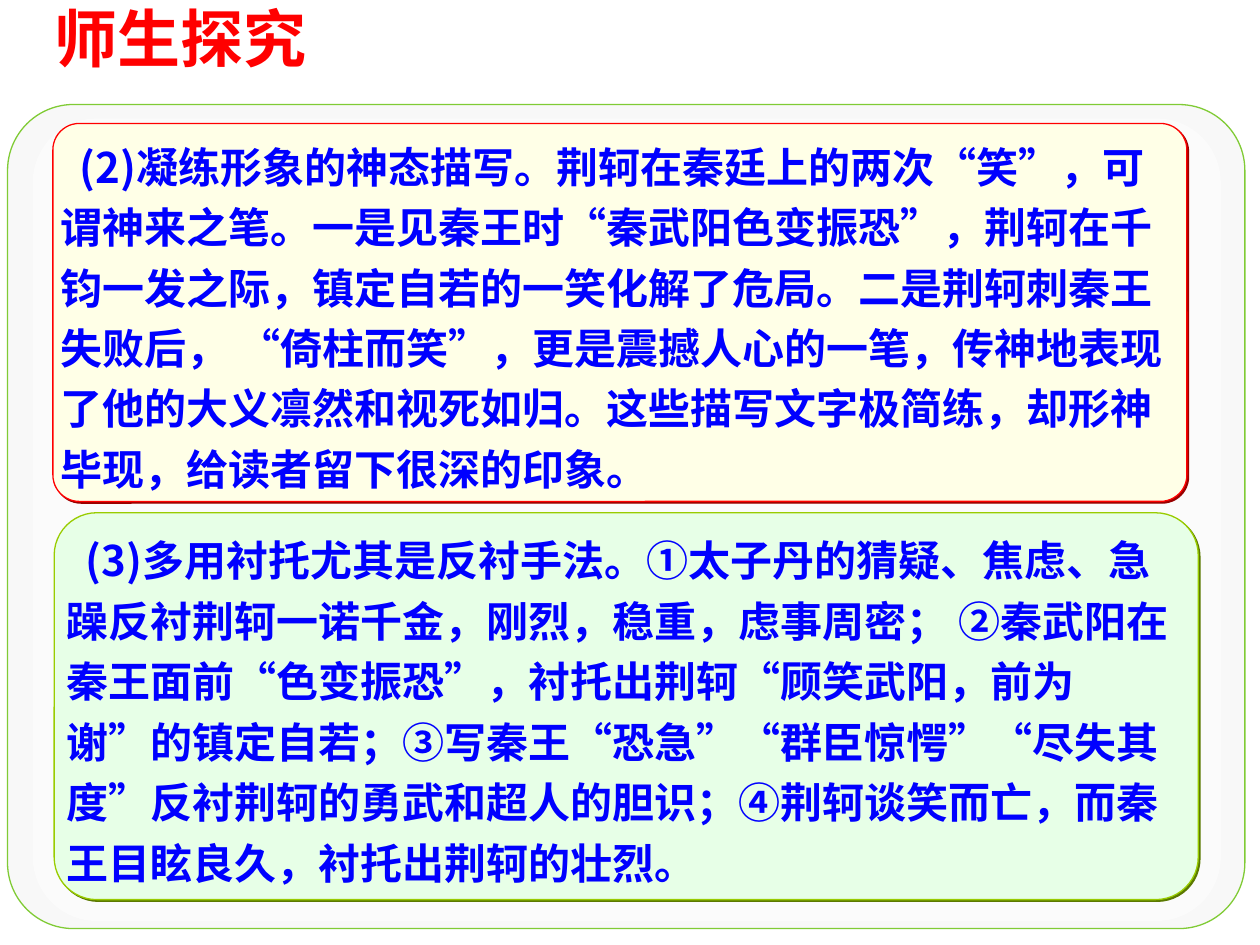
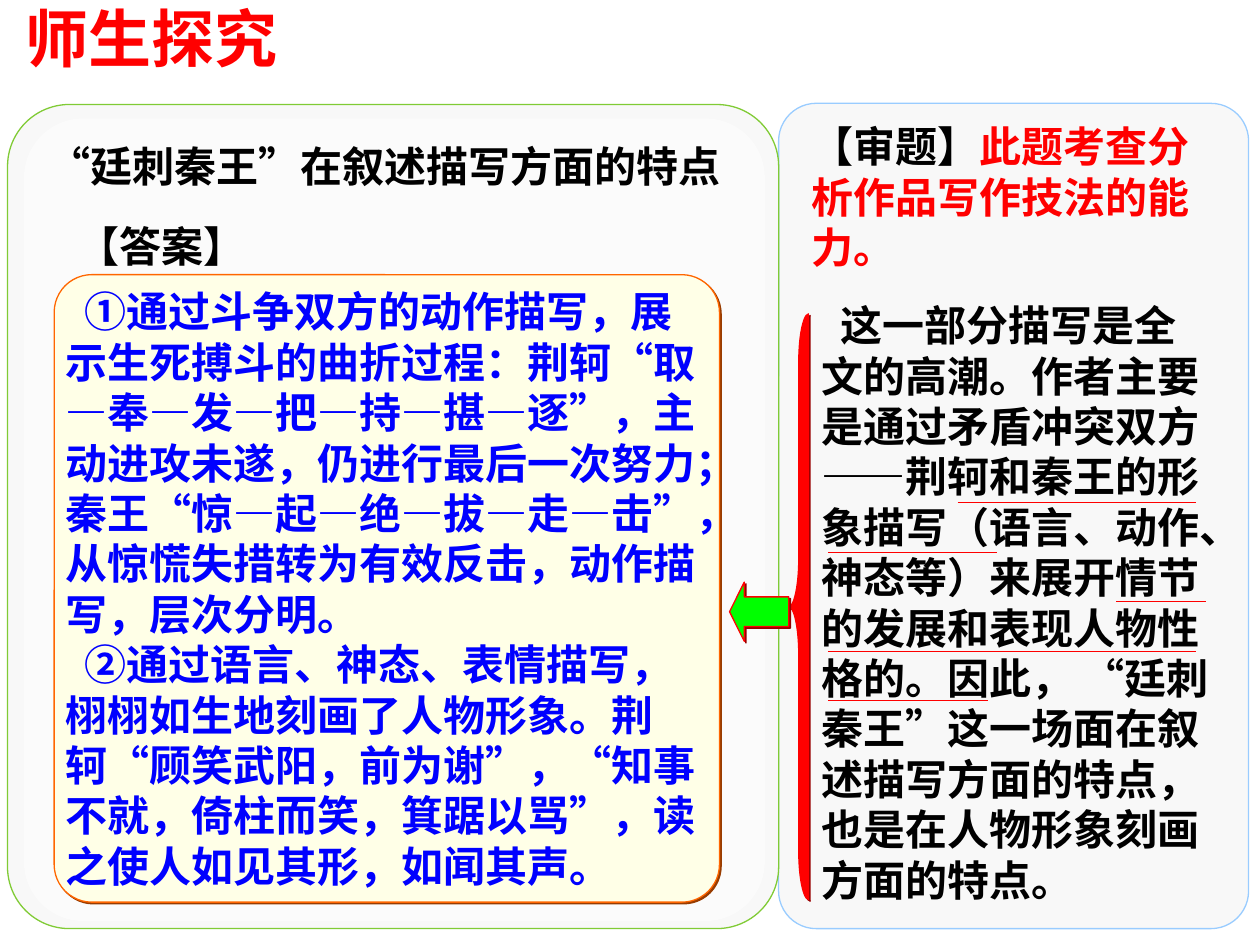
from dataclasses import dataclass

from lxml.etree import SubElement
from pptx import Presentation
from pptx.dml.color import RGBColor as RGB
from pptx.enum.shapes import MSO_CONNECTOR as CONN, MSO_SHAPE as SHAPE
from pptx.enum.text import MSO_ANCHOR as ANCHOR
from pptx.oxml.ns import qn
from pptx.util import Inches, Pt

COLS, ROWS = 100, 75
PAD = (Inches(0.1), Inches(0.05))


@dataclass(frozen=True)
class Theme:
    red: str = "FF0000"
    black: str = "000000"
    blue: str = "0000FF"
    white: str = "FFFFFF"
    panel: str = "F8F8F8"
    panel_green: str = "80CB35"
    panel_blue: str = "99CCFF"
    cream: str = "FFFFE7"
    mint: str = "E7FFE7"
    lime: str = "99CC00"
    orange: str = "FF6600"
    arrow: str = "00FF00"
    red_shade: str = "980000"
    lime_shade: str = "5B7900"
    orange_shade: str = "983C00"
    text_shade: str = "808080"
    head_font: str = "Arial"
    body_font: str = "Noto Sans CJK SC"
    title_size: float = 36
    body_size: float = 24
    line_width: float = 0.75
    indent: float = 0.15


def add_shadow(parent, color):
    """Give a shape or run properties element a hard shadow to the lower right."""
    effects = parent.find(qn("a:effectLst"))
    if effects is None:
        effects = SubElement(parent, qn("a:effectLst"))
    shadow = SubElement(effects, qn("a:outerShdw"), dist=str(Pt(1.4)),
                        dir=str(45 * 60000), algn="tl", rotWithShape="0")
    SubElement(shadow, qn("a:srgbClr"), val=color)


class Deck:
    """Places styled elements on the current slide; boxes are (column, row, columns, rows)."""

    def __init__(self, theme):
        self.theme = theme
        self.prs = Presentation()
        self.prs.slide_width, self.prs.slide_height = Inches(10), Inches(7.5)
        self.shapes = None

    def x(self, cols):
        return round(self.prs.slide_width * cols / COLS)

    def y(self, rows):
        return round(self.prs.slide_height * rows / ROWS)

    def place(self, box):
        col, row, cols, rows = box
        return self.x(col), self.y(row), self.x(cols), self.y(rows)

    def new_slide(self, title, title_col):
        self.shapes = self.prs.slides.add_slide(self.prs.slide_layouts[6]).shapes
        return lambda: self.text((title_col, 0, 33.5, 6), [(title, self.theme.red)],
                                 font=self.theme.head_font,
                                 size=self.theme.title_size, pad=(0, 0))

    def shape(self, kind, box, fill, line=None, adjust=(), shade=None, alpha=None):
        sp = self.shapes.add_shape(kind, *self.place(box))
        for i, value in enumerate(adjust):
            sp.adjustments[i] = value
        sp.fill.solid()
        sp.fill.fore_color.rgb = RGB.from_string(fill)
        if alpha:
            color = sp.fill._xPr.find(qn("a:solidFill"))[0]
            SubElement(color, qn("a:alpha"), val=str(alpha * 1000))
        if line:
            sp.line.color.rgb = RGB.from_string(line)
            sp.line.width = Pt(self.theme.line_width)
        else:
            sp.line.fill.background()
        sp.shadow.inherit = False
        if shade:
            add_shadow(sp._element.spPr, shade)
        return sp

    def panel(self, box, line, inner=None):
        """Draw a pale rounded panel, with a half-clear white sheet if inner is given."""
        self.shape(SHAPE.ROUNDED_RECTANGLE, box, self.theme.panel, line, [0.08])
        if inner:
            self.shape(SHAPE.ROUNDED_RECTANGLE, inner, self.theme.white,
                       adjust=[0.08], alpha=50)

    def style(self, p, font, size, color=None, indent=False, spacing=None):
        if indent:
            p._p.get_or_add_pPr().set("indent", str(Inches(self.theme.indent)))
        if spacing:
            p.line_spacing = spacing
        p.font.name, p.font.size, p.font.bold = font, Pt(size), True
        if color:
            p.font.color.rgb = RGB.from_string(color)
        latin = p._p.pPr.find(qn("a:defRPr")).find(qn("a:latin"))
        east_asian = latin.makeelement(qn("a:ea"), {"typeface": font})
        latin.addnext(east_asian)

    def card(self, box, paragraphs, fill, line, shade, radius, spacing=None):
        sp = self.shape(SHAPE.ROUNDED_RECTANGLE, box, fill, line, [radius], shade)
        tf = self.frame(sp, (0, 0), ANCHOR.MIDDLE)
        for i, words in enumerate(paragraphs):
            p = tf.add_paragraph() if i else tf.paragraphs[0]
            p.add_run().text = words
            p.alignment = 1
            self.style(p, self.theme.body_font, self.theme.body_size,
                       self.theme.blue, True, spacing)

    def frame(self, sp, pad, anchor=ANCHOR.TOP, wrap=True):
        tf = sp.text_frame
        tf.margin_left = tf.margin_right = pad[0]
        tf.margin_top = tf.margin_bottom = pad[1]
        tf.vertical_anchor, tf.word_wrap = anchor, wrap
        return tf

    def text(self, box, runs, font=None, size=None, pad=PAD, wrap=True, indent=False):
        """Write one paragraph of shadowed (words, colour) runs."""
        tf = self.frame(self.shapes.add_textbox(*self.place(box)), pad, wrap=wrap)
        p = tf.paragraphs[0]
        shared = runs[0][1] if len(runs) == 1 else None
        self.style(p, font or self.theme.body_font, size or self.theme.body_size,
                   shared, indent)
        for words, color in runs:
            r = p.add_run()
            r.text = words
            if not shared:
                r.font.color.rgb = RGB.from_string(color)
            add_shadow(r._r.get_or_add_rPr(), self.theme.text_shade)

    def underline(self, start, end, row):
        cxn = self.shapes.add_connector(CONN.STRAIGHT, self.x(start), self.y(row),
                                        self.x(end), self.y(row))
        cxn.line.color.rgb = RGB.from_string(self.theme.red)
        cxn.line.width = Pt(self.theme.line_width)
        SubElement(cxn._element.spPr, qn("a:effectLst"))


TITLE = "师生探究"

EXPRESSION = (
    "(2)凝练形象的神态描写。荆轲在秦廷上的两次“笑”，可谓神来之笔。一是见秦王时“秦武阳色变振恐”，"
    "荆轲在千钧一发之际，镇定自若的一笑化解了危局。二是荆轲刺秦王失败后， “倚柱而笑”，"
    "更是震撼人心的一笔，传神地表现了他的大义凛然和视死如归。这些描写文字极简练，却形神毕现，"
    "给读者留下很深的印象。")
CONTRAST = (
    "(3)多用衬托尤其是反衬手法。①太子丹的猜疑、焦虑、急躁反衬荆轲一诺千金，刚烈，稳重，虑事周密； "
    "②秦武阳在秦王面前“色变振恐”，衬托出荆轲“顾笑武阳，前为谢”的镇定自若；"
    "③写秦王“恐急”“群臣惊愕”“尽失其度”反衬荆轲的勇武和超人的胆识；"
    "④荆轲谈笑而亡，而秦王目眩良久，衬托出荆轲的壮烈。")
ANSWERS = [
    "①通过斗争双方的动作描写，展示生死搏斗的曲折过程：荆轲“取—奉—发—把—持—揕—逐”，"
    "主动进攻未遂，仍进行最后一次努力；秦王“惊—起—绝—拔—走—击”，从惊慌失措转为有效反击，"
    "动作描写，层次分明。",
    "②通过语言、神态、表情描写，栩栩如生地刻画了人物形象。荆轲“顾笑武阳，前为谢”，"
    "“知事不就，倚柱而笑，箕踞以骂”，读之使人如见其形，如闻其声。"]
ANALYSIS = (
    "这一部分描写是全文的高潮。作者主要是通过矛盾冲突双方——荆轲和秦王的形象描写"
    "（语言、动作、神态等）来展开情节的发展和表现人物性格的。因此， “廷刺秦王”"
    "这一场面在叙述描写方面的特点，也是在人物形象刻画方面的特点。")
UNDERLINES = [(76, 94.9), (65.7, 79.1), (88.6, 95.7), (65.7, 94.9), (65.7, 78.4)]
UNDERLINE_TOP, UNDERLINE_STEP = 39.9, 3.93


def build_techniques(deck, t):
    add_title = deck.new_slide(TITLE, 4.3)
    deck.panel((0.6, 8.3, 98.2, 65.4), t.panel_green, (2.6, 9.4, 94.3, 63.7))
    add_title()
    deck.card((4.2, 9.8, 90, 30), [EXPRESSION], t.cream, t.red, t.red_shade, 0.07, 1.2)
    deck.card((4.3, 40.7, 90.8, 30.7), [CONTRAST], t.mint, t.lime, t.lime_shade,
              0.11, 1.2)


def build_answer(deck, t):
    add_title = deck.new_slide(TITLE, 2)
    deck.panel((61.8, 8.2, 37.3, 65.5), t.panel_blue)
    deck.panel((0.6, 8.3, 61.2, 65.4), t.panel_green, (1.9, 9.4, 58.8, 63.7))
    add_title()
    deck.text((2.9, 10.7, 55.3, 5), [("“廷刺秦王”在叙述描写方面的特点", t.black)], wrap=False)
    deck.card((4.3, 21.8, 52.8, 49.8), ANSWERS, t.cream, t.orange, t.orange_shade, 0.06)
    deck.text((63.4, 9.1, 34.7, 13),
              [("【审题】", t.black), ("此题考查分析作品写作技法的能力。", t.red)],
              font=t.head_font)
    deck.text((64.2, 23.3, 33.1, 49), [(ANALYSIS, t.black)], indent=True)
    for i, (start, end) in enumerate(UNDERLINES):
        deck.underline(start, end, UNDERLINE_TOP + i * UNDERLINE_STEP)
    deck.shape(SHAPE.LEFT_BRACE, (62.6, 24.9, 1.6, 46.5), t.red, t.red, [2.42, 0.5],
               t.red_shade)
    deck.shape(SHAPE.LEFT_ARROW, (57.9, 46.2, 4.7, 4.7), t.arrow, t.red, [0.5, 0.25],
               t.red_shade)
    deck.text((5.2, 17, 15.3, 5), [("【答案】", t.black)], font=t.head_font, wrap=False)


def main():
    theme = Theme()
    deck = Deck(theme)
    build_techniques(deck, theme)
    build_answer(deck, theme)
    deck.prs.save("out.pptx")


if __name__ == "__main__":
    main()
